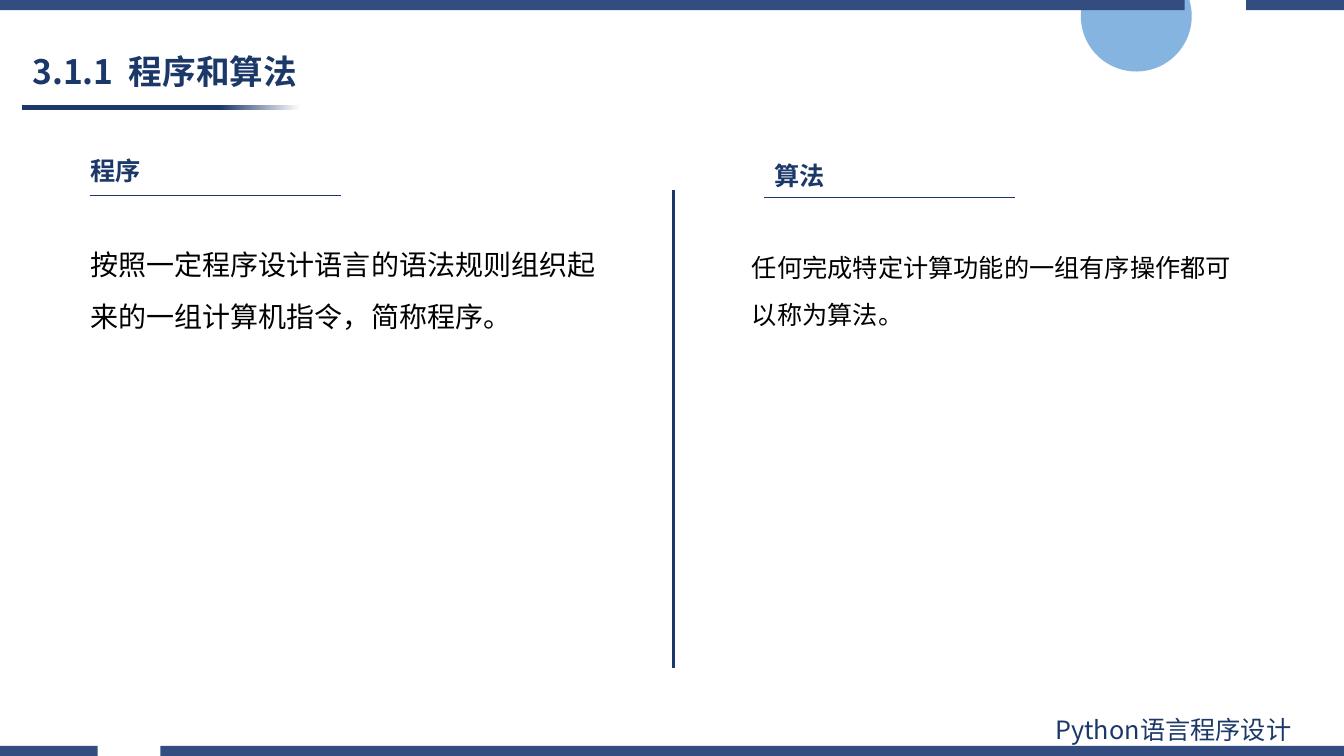
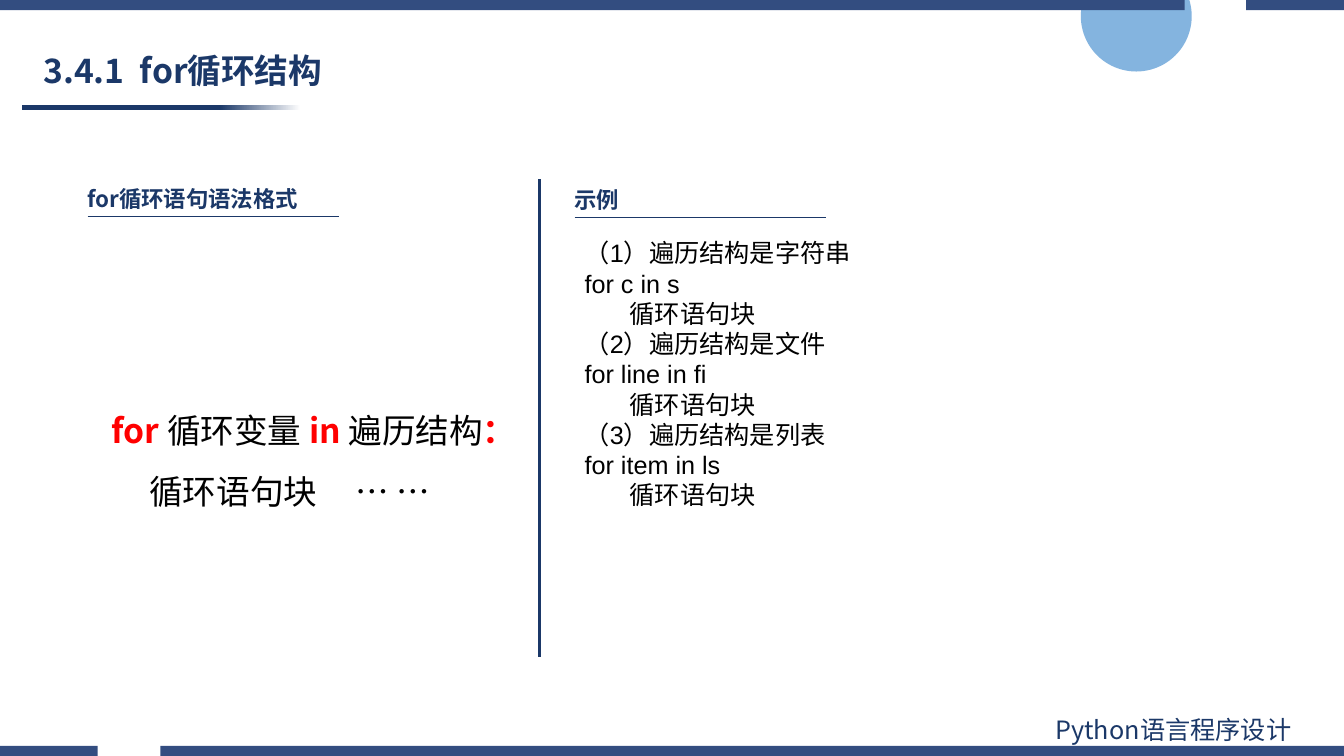
from dataclasses import dataclass
from lxml.etree import SubElement as Sub
from pptx import Presentation
from pptx.dml.color import RGBColor as Rgb
from pptx.enum.shapes import MSO_CONNECTOR as Line, MSO_SHAPE as Kind
from pptx.enum.text import MSO_ANCHOR as Anchor, MSO_AUTO_SIZE as Fit, PP_ALIGN as Align
from pptx.oxml.ns import qn
from pptx.util import Inches, Pt


@dataclass(frozen=True)
class Theme:
    navy: str = "1B3868"
    band: str = "334D80"
    sky: str = "5B9BD5"
    red: str = "FF0000"
    ink: str = "000000"
    white: str = "FFFFFF"
    sans: str = "Noto Sans CJK SC"
    plain: str = "Arial"
    title: int = 24
    large: int = 20
    body: int = 18
    small: int = 16
    rule: float = 0.5
    split: float = 2
    width: float = 13.33
    height: float = 7.5


T = Theme()


def inch(*nums):
    return [Inches(n) for n in nums]


def style(run, size, color=T.ink, bold=False, face=T.sans):
    font = run.font
    font.size, font.bold, font.name = Pt(size), bold, face
    font.color.rgb = Rgb.from_string(color)
    Sub(run._r.get_or_add_rPr(), qn("a:ea"), typeface=T.sans)


def write(slide, box, lines, size, gap=0, lead=None, **look):
    frame = slide.shapes.add_textbox(*inch(*box)).text_frame
    frame.word_wrap = True
    frame.auto_size = Fit.SHAPE_TO_FIT_TEXT
    frame.text = "\n".join(lines)
    for para in frame.paragraphs:
        para.space_after = Pt(gap)
        if lead:
            para.line_spacing = lead
        for run in para.runs:
            style(run, size, **look)
    return frame


def stroke(slide, start, end, width):
    line = slide.shapes.add_connector(Line.STRAIGHT, *inch(*start, *end))
    line.line.color.rgb = Rgb.from_string(T.navy)
    line.line.width = Pt(width)
    Sub(line.element.spPr, qn("a:effectLst"))


def paint(shape, color):
    shape.shadow.inherit = False
    shape.line.fill.background()
    shape.fill.solid()
    shape.fill.fore_color.rgb = Rgb.from_string(color)


def band(slide, top, left, right, deep=0.1):
    def ring(x1, x2):
        ends = ((x1, top), (x2, top), (x2, top + deep), (x1, top + deep))
        return [inch(*end) for end in ends]

    first, second = ring(0, left), ring(right, T.width)
    pen = slide.shapes.build_freeform(*first[0])
    pen.add_line_segments(first[1:], close=True)
    pen.move_to(*second[0])
    pen.add_line_segments(second[1:], close=True)
    paint(pen.convert_to_shape(), T.band)


def frame_art(slide):
    disc = slide.shapes.add_shape(Kind.OVAL, *inch(10.72, -0.39, 1.1, 1.1))
    paint(disc, T.sky)
    tone = disc.element.spPr.find(".//" + qn("a:srgbClr"))
    Sub(tone, qn("a:alpha"), val="75000")
    bar = slide.shapes.add_shape(Kind.RECTANGLE, *inch(0.22, 1.04, 2.76, 0.05))
    paint(bar, T.navy)
    bar.fill.gradient()
    bar.fill.gradient_angle = 0
    for stop, place, color in zip(bar.fill.gradient_stops, (0.71, 1), (T.navy, T.white)):
        stop.position = place
        stop.color.rgb = Rgb.from_string(color)
    band(slide, T.height - 0.1, 0.97, 1.59)
    band(slide, 0, 11.75, 12.36)
    write(slide, (10.37, 7.04, 2.94, 0.4), ["Python语言程序设计"], T.body, color=T.navy)


def set_layout(deck):
    layout = deck.slide_layouts[5]
    for holder in list(layout.placeholders)[1:]:
        layout.shapes.element.remove(holder.element)
    return layout


def share(slide):
    frame_art(slide)
    for shape in list(slide.shapes)[1:]:
        slide.slide_layout.shapes.element.append(shape.element)


def head(slide, box, text):
    title = slide.shapes.title
    title.left, title.top, title.width, title.height = inch(*box)
    frame = title.text_frame
    frame.text = text
    frame.auto_size = Fit.NONE
    frame.vertical_anchor = Anchor.MIDDLE
    para = frame.paragraphs[0]
    para.alignment = Align.LEFT
    para.line_spacing = 0.9
    style(para.runs[0], T.title, T.navy, True)


def label(slide, x, y, text, size, rule):
    write(slide, (x, y, 3.4, 0.4), [text], size, color=T.navy, bold=True)
    left, top = rule
    stroke(slide, (left, top), (left + 2.49, top), T.rule)


def divide(slide, x, y):
    stroke(slide, (x, y), (x, y + 4.74), T.split)


def syntax(slide, box):
    frame = write(slide, box, ["", "     循环语句块\t… …"], T.title, lead=1.5)
    first, second = frame.paragraphs
    parts = ("for ", "循环变量 ", "in ", "遍历结构", "：")
    for i, text in enumerate(parts):
        run = first.add_run()
        run.text = text
        key = i % 2 == 0
        style(run, T.title, T.red if key else T.ink, key)
    tabs = Sub(second._p.get_or_add_pPr(), qn("a:tabLst"))
    Sub(tabs, qn("a:tab"), pos=str(Inches(2.42)), algn="l")


def terms(slide):
    head(slide, (0.22, 0.45, 6.04, 0.56), "3.1.1  程序和算法")
    divide(slide, 6.68, 1.89)
    label(slide, 0.8, 1.49, "程序", T.body, (0.89, 1.94))
    label(slide, 7.58, 1.54, "算法", T.body, (7.58, 1.96))
    write(slide, (0.8, 2.31, 5.37, 1.14),
          ["按照一定程序设计语言的语法规则组织起", "来的一组计算机指令，简称程序。"],
          T.large, gap=6, lead=1.3)
    write(slide, (7.36, 2.36, 5.05, 1.06),
          ["任何完成特定计算功能的一组有序操作都可", "以称为算法。"],
          T.body, gap=6, lead=1.3, face=T.plain)


def loops(slide):
    head(slide, (0.33, 0.44, 3.57, 0.56), "3.4.1  for循环结构")
    divide(slide, 5.35, 1.78)
    label(slide, 0.77, 1.79, "for循环语句语法格式", T.small, (0.87, 2.15))
    label(slide, 5.6, 1.8, "示例", T.small, (5.7, 2.16))
    cases = (("字符串", "c in s"), ("文件", "line in fi"), ("列表", "item in ls"))
    lines = []
    for i, (kind, code) in enumerate(cases, 1):
        lines += [f"（{i}）遍历结构是{kind}", f"for {code}", "        循环语句块"]
    write(slide, (5.7, 2.31, 6.03, 3.13), lines, T.body, face=T.plain)
    syntax(slide, (1.01, 3.82, 4.34, 1.31))


def main():
    deck = Presentation()
    deck.slide_width, deck.slide_height = inch(T.width, T.height)
    layout = set_layout(deck)
    pages = [deck.slides.add_slide(layout) for _ in range(2)]
    share(pages[0])
    for page, fill in zip(pages, (terms, loops)):
        fill(page)
    deck.save("out.pptx")


if __name__ == "__main__":
    main()
